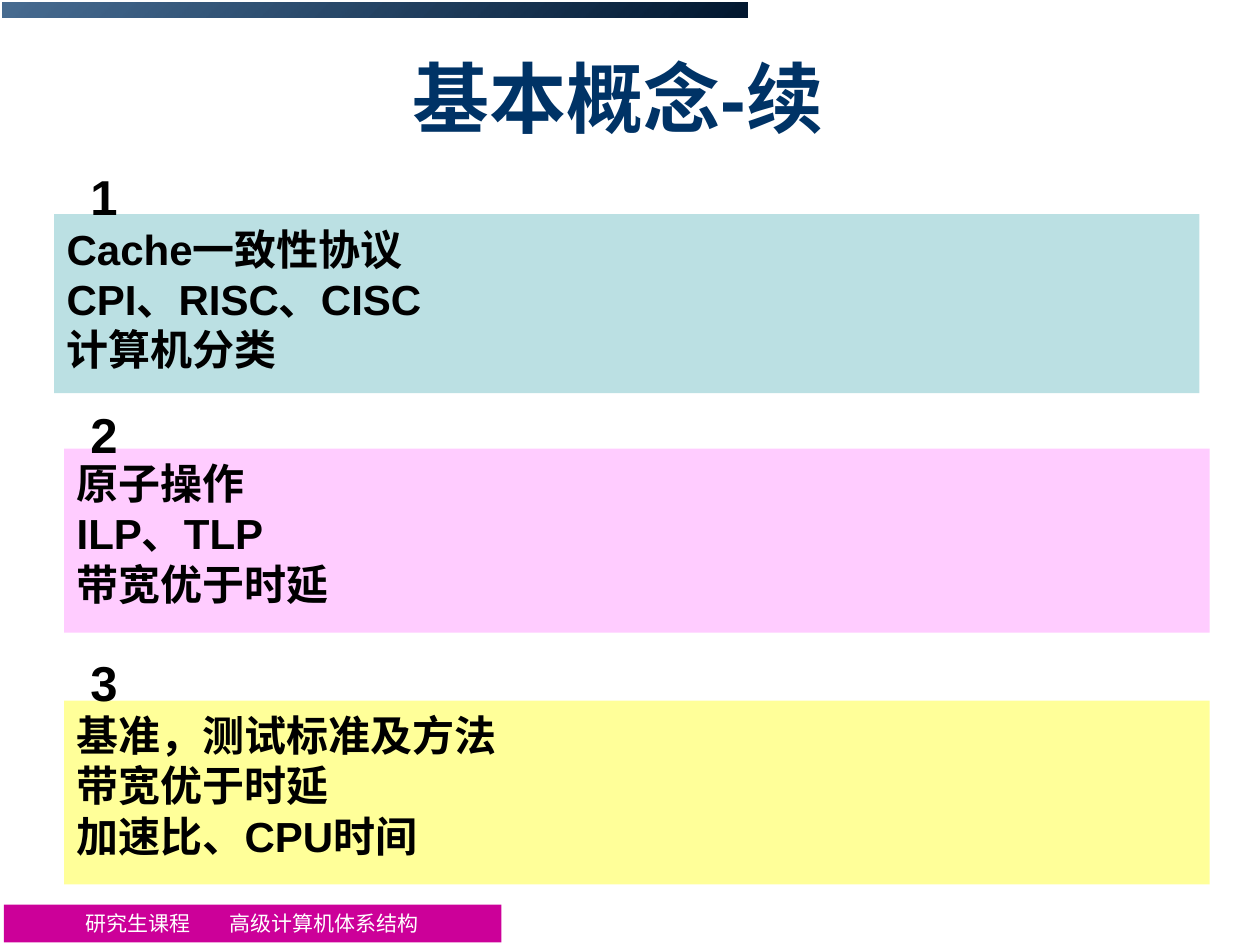
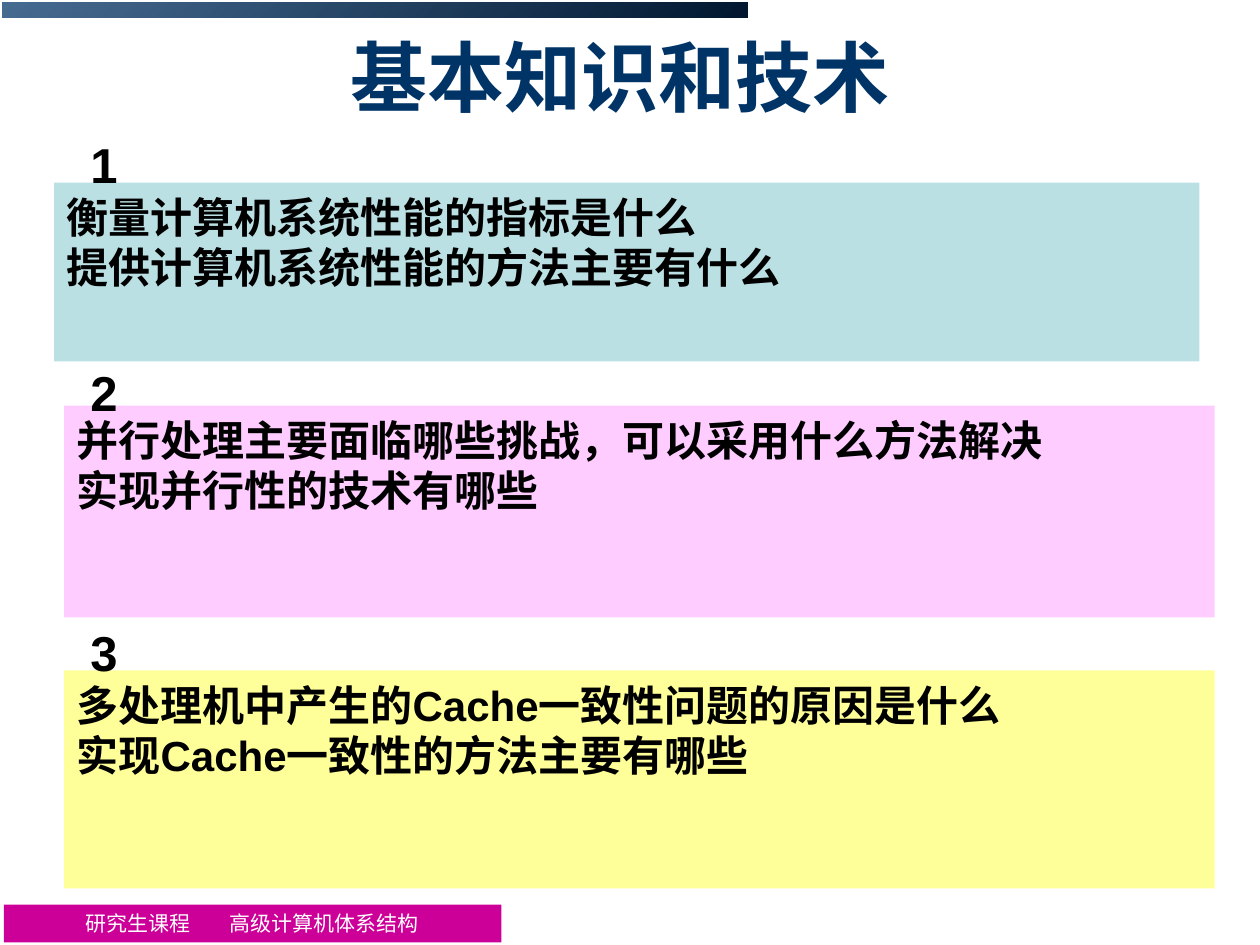
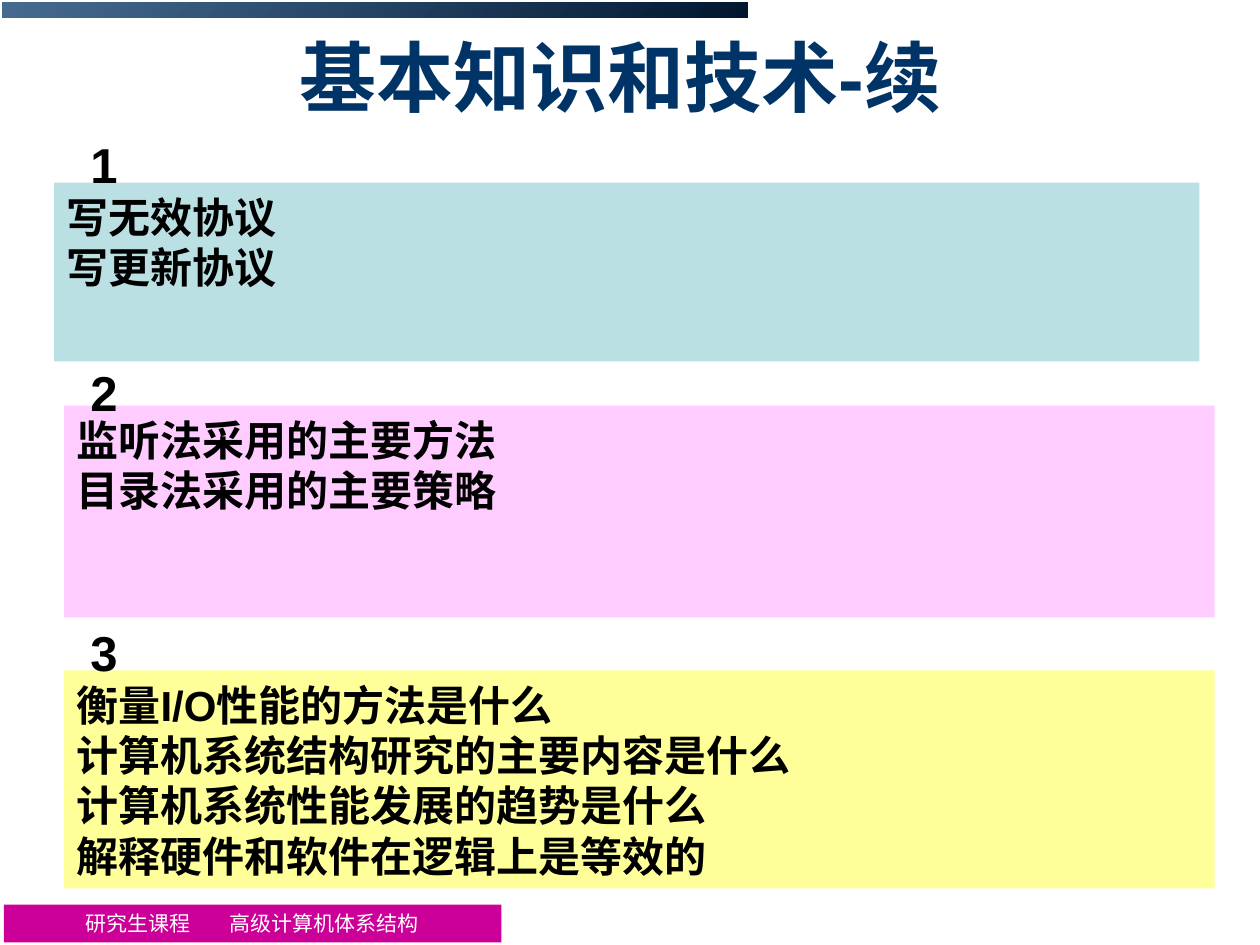
from typing import NamedTuple

from lxml import etree
from pptx import Presentation
from pptx import util as u
from pptx.dml.color import RGBColor
from pptx.enum import lang, shapes, text
from pptx.oxml.ns import qn

# Shared colours and fonts
NAVY = RGBColor(0x00, 0x33, 0x66)
MIDNIGHT = RGBColor(0x00, 0x17, 0x2F)
MAGENTA = RGBColor(0xCC, 0x00, 0x99)
WHITE = RGBColor(0xFF, 0xFF, 0xFF)
BLACK = RGBColor(0x00, 0x00, 0x00)
PANEL_FILLS = (
    RGBColor(0xBB, 0xE0, 0xE3),
    RGBColor(0xFF, 0xCC, 0xFF),
    RGBColor(0xFF, 0xFF, 0x99),
)
SANS = "Arial"
SERIF = "Times New Roman"

SLIDE_W, SLIDE_H = u.Inches(10), u.Inches(7.5)


class Box(NamedTuple):
    """A frame in percent of the slide's width and height."""
    left: float
    top: float
    width: float
    height: float

    def emu(self) -> tuple[int, ...]:
        sides = (SLIDE_W, SLIDE_H) * 2
        return tuple(round(share * side / 100) for share, side in zip(self, sides))


class Style(NamedTuple):
    size: float
    color: RGBColor
    font: str = SANS
    bold: bool = True
    align: text.PP_ALIGN = text.PP_ALIGN.LEFT


class Insets(NamedTuple):
    """Text margins in inches."""
    left: float = 0.1
    top: float = 0.05
    right: float = 0.1
    bottom: float = 0.05


class Arrangement(NamedTuple):
    title: Box
    panels: tuple[Box, ...]
    number_tops: tuple[float, ...]


class Page(NamedTuple):
    title: str
    arrangement: Arrangement
    panels: tuple[tuple[str, ...], ...]


TITLE = Style(44, NAVY, align=text.PP_ALIGN.CENTER)
NUMBER = Style(28, BLACK, align=text.PP_ALIGN.CENTER)
BODY = Style(24, BLACK)
FOOTER = Style(12, WHITE, SERIF, bold=False)
BODY_LEADING = u.Pt(28.8)

TOP_BAND = Box(0.2, 0.27, 59.1, 1.6)
FOOTER_BAND = Box(0.3, 95.73, 39.5, 4)
FOOTER_TEXT = "研究生课程\t高级计算机体系结构"
FOOTER_TAB = u.Inches(1.14)
NUMBER_LEFT, NUMBER_WIDTH, NUMBER_HEIGHT = 5.1, 6.3, 7.6

EVEN = Arrangement(
    Box(4.9, 4, 90, 12.4),
    (Box(4.3, 22.67, 90.9, 18.93), Box(5.1, 47.47, 90.9, 19.47), Box(5.1, 74.13, 90.9, 19.47)),
    (16.4, 41.6, 67.87),
)
TALL = Arrangement(
    Box(5.1, 3.73, 90, 8.53),
    (Box(4.3, 19.33, 90.9, 18.93), Box(5.1, 42.93, 91.3, 22.4), Box(5.1, 70.93, 91.3, 23.07)),
    (13.07, 37.2, 64.67),
)

PAGES = (
    Page("基本概念-续", EVEN, (
        ("Cache一致性协议", "CPI、RISC、CISC", "计算机分类"),
        ("原子操作", "ILP、TLP", "带宽优于时延"),
        ("基准，测试标准及方法", "带宽优于时延", "加速比、CPU时间"),
    )),
    Page("基本知识和技术", TALL, (
        ("衡量计算机系统性能的指标是什么", "提供计算机系统性能的方法主要有什么"),
        ("并行处理主要面临哪些挑战，可以采用什么方法解决", "实现并行性的技术有哪些"),
        ("多处理机中产生的Cache一致性问题的原因是什么", "实现Cache一致性的方法主要有哪些"),
    )),
    Page("基本知识和技术-续", TALL, (
        ("写无效协议", "写更新协议"),
        ("监听法采用的主要方法", "目录法采用的主要策略"),
        ("衡量I/O性能的方法是什么", "计算机系统结构研究的主要内容是什么",
         "计算机系统性能发展的趋势是什么", "解释硬件和软件在逻辑上是等效的"),
    )),
)


def add_rect(slide, box: Box, fill: RGBColor | None = None):
    sp = slide.shapes.add_shape(shapes.MSO_SHAPE.RECTANGLE, *box.emu())
    sp.shadow.inherit = False
    sp.line.fill.background()
    if fill is not None:
        sp.fill.solid()
        sp.fill.fore_color.rgb = fill
    return sp


def write(sp, lines: tuple[str, ...], style: Style, insets: Insets = Insets(),
          anchor=text.MSO_ANCHOR.TOP, leading=None, tab=None) -> None:
    tf = sp.text_frame
    tf.word_wrap = True
    tf.vertical_anchor = anchor
    tf.margin_left, tf.margin_top, tf.margin_right, tf.margin_bottom = map(u.Inches, insets)
    for i, line in enumerate(lines):
        p = tf.add_paragraph() if i else tf.paragraphs[0]
        p.alignment = style.align
        if leading:
            p.line_spacing = leading
        if tab:
            stops = etree.SubElement(p._p.get_or_add_pPr(), qn("a:tabLst"))
            etree.SubElement(stops, qn("a:tab"), pos=str(tab), algn="l")
        r = p.add_run()
        r.text = line
        r.font.name = style.font
        r.font.size = u.Pt(style.size)
        r.font.bold = style.bold
        r.font.color.rgb = style.color
        r.font.language_id = lang.MSO_LANGUAGE_ID.SIMPLIFIED_CHINESE
        etree.SubElement(r._r.get_or_add_rPr(), qn("a:ea"), typeface=SANS)


def add_bands(slide) -> None:
    # Gradient band along the top
    sp = add_rect(slide, TOP_BAND)
    sp.fill.gradient()
    sp.fill.gradient_angle = 315
    for stop, color in zip(sp.fill.gradient_stops, (NAVY, MIDNIGHT)):
        stop.color.rgb = color
    first_color = next(sp.element.iter(qn("a:srgbClr")))
    etree.SubElement(first_color, qn("a:alpha"), val="72000")

    # Course footer
    sp = add_rect(slide, FOOTER_BAND, MAGENTA)
    write(sp, (FOOTER_TEXT,), FOOTER, Insets(left=0.65, right=0),
          text.MSO_ANCHOR.MIDDLE, tab=FOOTER_TAB)


def add_page(prs, page: Page) -> None:
    slide = prs.slides.add_slide(prs.slide_layouts[6])
    add_bands(slide)

    # Title
    title = slide.shapes.add_textbox(*page.arrangement.title.emu())
    write(title, (page.title,), TITLE, Insets(0, 0, 0.17, 0), text.MSO_ANCHOR.MIDDLE)

    # Numbered panels
    rows = zip(page.arrangement.panels, page.arrangement.number_tops, PANEL_FILLS, page.panels)
    for number, (box, number_top, fill, lines) in enumerate(rows, 1):
        panel = add_rect(slide, box, fill)
        write(panel, lines, BODY, Insets(top=0.07), leading=BODY_LEADING)
        number_box = Box(NUMBER_LEFT, number_top, NUMBER_WIDTH, NUMBER_HEIGHT)
        label = slide.shapes.add_textbox(*number_box.emu())
        write(label, (str(number),), NUMBER, Insets(top=0.09))


def main() -> None:
    prs = Presentation()
    prs.slide_width, prs.slide_height = SLIDE_W, SLIDE_H
    for page in PAGES:
        add_page(prs, page)
    prs.save("out.pptx")


if __name__ == "__main__":
    main()
